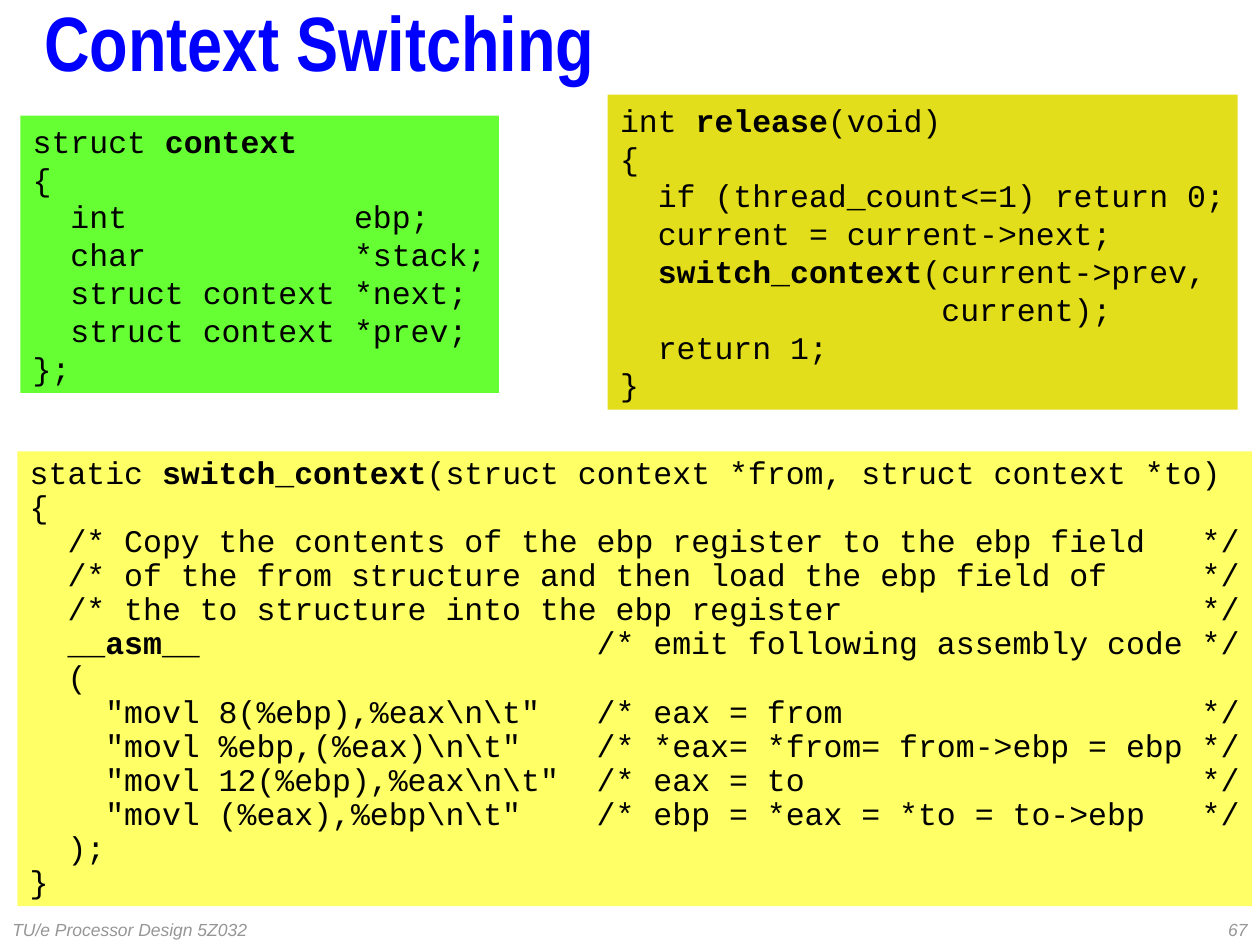
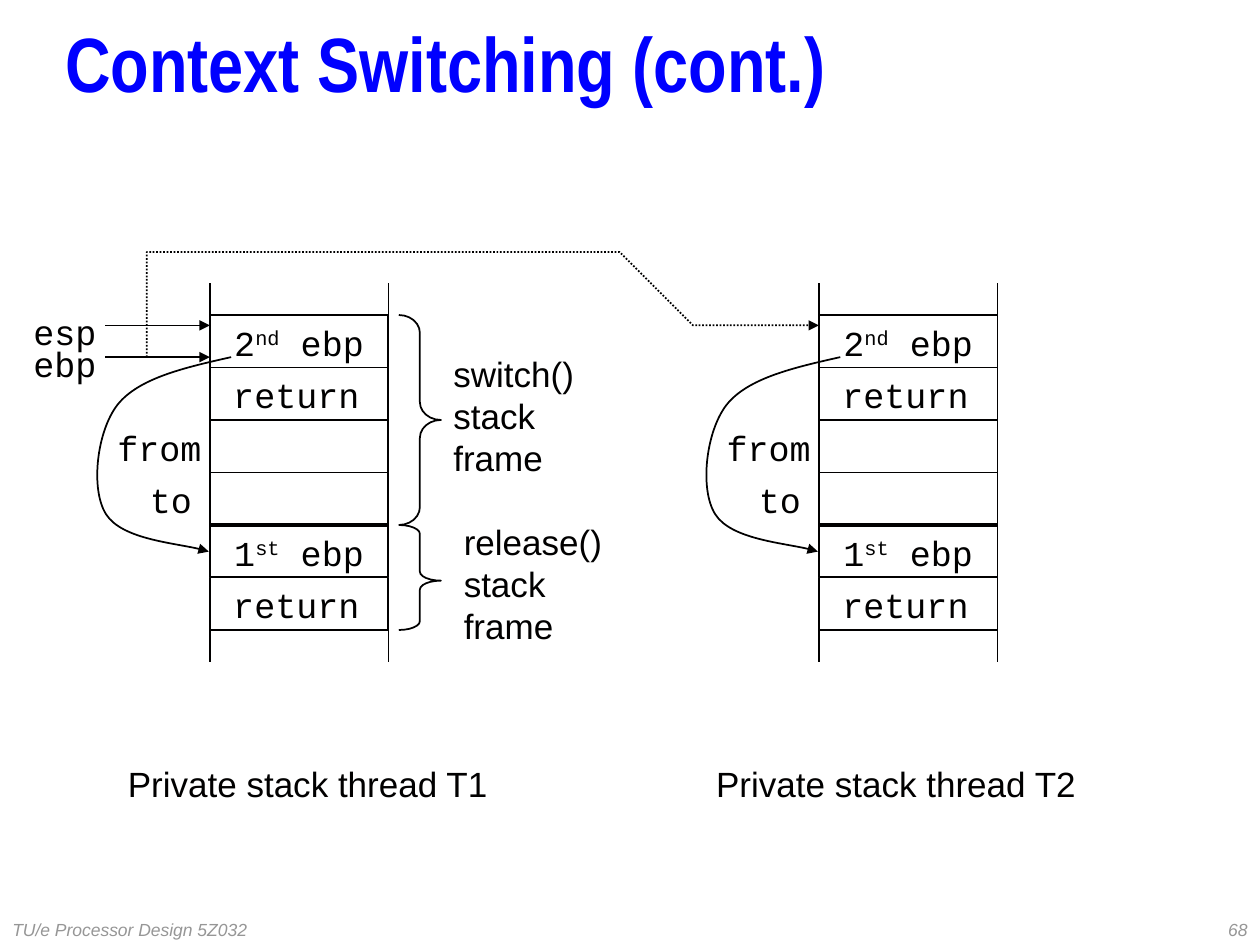
import lxml.etree
import pptx
import pptx.dml.color
import pptx.enum.dml
import pptx.enum.shapes
import pptx.enum.text
import pptx.oxml.ns
import pptx.util

Cm = pptx.util.Cm
Pt = pptx.util.Pt
qn = pptx.oxml.ns.qn
rgb = pptx.dml.color.RGBColor.from_string
ALIGN = pptx.enum.text.PP_ALIGN
ANCHOR = pptx.enum.text.MSO_ANCHOR
AUTO_SIZE = pptx.enum.text.MSO_AUTO_SIZE
SHAPE = pptx.enum.shapes.MSO_SHAPE
STRAIGHT = pptx.enum.shapes.MSO_CONNECTOR.STRAIGHT

INK = "010000"
TITLE_FONT = {"name": "Arial Narrow", "size": Pt(44), "bold": True}
FOOTER_FONT = {"name": "Arial", "size": Pt(10), "italic": True}
CODE_FONT = {"name": "Courier New", "size": Pt(18)}
CELL_FONT = {"name": "Courier New", "size": Pt(20)}
LABEL_FONT = {"name": "Arial", "size": Pt(20)}
FIXED_FRAME = {"word_wrap": True, "auto_size": AUTO_SIZE.NONE, "vertical_anchor": ANCHOR.MIDDLE}
GROWING_FRAME = {"word_wrap": False, "auto_size": AUTO_SIZE.SHAPE_TO_FIT_TEXT,
                 "vertical_anchor": ANCHOR.TOP}


def write(shape, text, font, color=INK, frame=GROWING_FRAME, align=ALIGN.LEFT,
          spacing=1.0, mark=("b", "1")):
    for name, value in frame.items():
        setattr(shape.text_frame, name, value)
    for index, line in enumerate(text.split("\n")):
        paragraphs = shape.text_frame.paragraphs
        paragraph = shape.text_frame.add_paragraph() if index else paragraphs[0]
        paragraph.alignment = align
        paragraph.line_spacing = spacing
        for position, part in enumerate(line.split("@")):
            if not part:
                continue
            run = paragraph.add_run()
            run.text = part
            for name, value in font.items():
                setattr(run.font, name, value)
            run.font.color.rgb = rgb(color)
            if position % 2:
                run._r.get_or_add_rPr().set(*mark)


def outline(shape, width=1, dash=None, arrow=False):
    shape.line.color.rgb = rgb(INK)
    shape.line.width = Pt(width)
    if dash:
        shape.line.dash_style = dash
    properties = shape._element.spPr
    if arrow:
        lxml.etree.SubElement(properties.find(qn("a:ln")), qn("a:tailEnd"), type="triangle")
    if properties.find(qn("a:effectLst")) is None:
        lxml.etree.SubElement(properties, qn("a:effectLst"))


presentation = pptx.Presentation()
presentation.slide_width = Cm(25.4)
presentation.slide_height = Cm(19.05)

slides = []
for title, left, top, number in [
    ("Context Switching", 0.64, 0, "67"),
    ("Context Switching (cont.)", 1.06, 0.42, "68"),
]:
    slide = presentation.slides.add_slide(presentation.slide_layouts[5])
    slides.append(slide)
    placeholder = slide.shapes.title
    for name, value in {"left": left, "top": top, "width": 23.28, "height": 2.12}.items():
        setattr(placeholder, name, Cm(value))
    write(placeholder, title, TITLE_FONT, "0000FF", FIXED_FRAME, spacing=0.7)
    for text, footer_left, align in [
        (number, 20.11, ALIGN.RIGHT),
        ("TU/e Processor Design 5Z032", 0, ALIGN.LEFT),
    ]:
        footer = slide.shapes.add_textbox(Cm(footer_left), Cm(18.42), Cm(5.29), Cm(0.63))
        write(footer, text, FOOTER_FONT, "969696", FIXED_FRAME, align)
code_slide, stack_slide = slides

switch_code = r'''static @switch_context@(struct context *from, struct context *to)
{
  /* Copy the contents of the ebp register to the ebp field   */
  /* of the from structure and then load the ebp field of     */
  /* the to structure into the ebp register                   */
  @__asm__@                     /* emit following assembly code */
  (
    "movl 8(%ebp),%eax\n\t"   /* eax = from                   */
    "movl %ebp,(%eax)\n\t"    /* *eax= *from= from->ebp = ebp */
    "movl 12(%ebp),%eax\n\t"  /* eax = to                     */
    "movl (%eax),%ebp\n\t"    /* ebp = *eax = *to = to->ebp   */
  );
}'''
release_code = '''int @release@(void)
{
  if (thread_count<=1) return 0;
  current = current->next;
  @switch_context@(current->prev,
                 current);
  return 1;
}'''
context_code = '''struct @context@
{
  int            ebp;
  char           *stack;
  struct context *next;
  struct context *prev;
};'''
for code, fill, spacing, place in [
    (switch_code, "FFFF66", 0.9, (0.35, 9.1, 24.89, 9.17)),
    (release_code, "E3DE1B", 1.0, (12.25, 1.91, 12.7, 6.35)),
    (context_code, "66FF33", 1.0, (0.41, 2.33, 9.65, 5.59)),
]:
    box = code_slide.shapes.add_textbox(*map(Cm, place))
    box.fill.solid()
    box.fill.fore_color.rgb = rgb(fill)
    write(box, code, CODE_FONT, spacing=spacing)

shapes = stack_slide.shapes
stack_left, stack_width = 4.23, 3.6
stack_top, stack_bottom, overhang = 6.35, 12.7, 0.64
row_height = (stack_bottom - stack_top) / 6
frame_border = stack_top + 4 * row_height
thread_gap = 12.28
label_height = 1.12
cell_labels = [
    ("2@nd@ ebp", 4.47, 3.12), ("return", 4.45, 3.05), ("from", 2.11, 2.21),
    ("to", 2.77, 1.35), ("1@st@ ebp", 4.47, 3.12), ("return", 4.45, 3.05),
]
saved_ebp_curve = [
    (4.66, 7.2), (3.73, 7.41), (2.8, 7.62), (2.37, 8.16), (1.95, 8.7),
    (1.82, 9.87), (2.14, 10.37), (2.46, 10.87), (3.78, 10.97), (4.21, 11.12),
]

for offset in (0, thread_gap):
    left = stack_left + offset
    right = left + stack_width
    for row, (text, label_left, width) in enumerate(cell_labels):
        top = stack_top + row * row_height
        cell = shapes.add_shape(SHAPE.RECTANGLE, Cm(left), Cm(top), Cm(stack_width), Cm(row_height))
        cell.fill.background()
        outline(cell)
        label = shapes.add_textbox(Cm(label_left + offset), Cm(top), Cm(width), Cm(label_height))
        write(label, text, CELL_FONT, align=ALIGN.CENTER, mark=("baseline", "30000"))
    for x in (left, right):
        for y in (stack_top - overhang, stack_bottom):
            outline(shapes.add_connector(STRAIGHT, Cm(x), Cm(y), Cm(x), Cm(y + overhang)))
    border = shapes.add_connector(STRAIGHT, Cm(left), Cm(frame_border), Cm(right), Cm(frame_border))
    outline(border, 2.25)

    points = [(Cm(x + offset), Cm(y)) for x, y in saved_ebp_curve]
    builder = shapes.build_freeform(*points[0])
    builder.add_line_segments(points[1:], close=False)
    curve = builder.convert_to_shape()
    curve.fill.background()
    outline(curve, arrow=True)
    curve_path = next(curve._element.iter(qn("a:path")))
    segments = curve_path.findall(qn("a:lnTo"))
    for start in range(0, len(segments), 3):
        bezier = lxml.etree.SubElement(curve_path, qn("a:cubicBezTo"))
        for segment in segments[start:start + 3]:
            bezier.append(segment[0])
            curve_path.remove(segment)

for register, label_top, arrow_y in [("esp", 6.14, 6.56), ("ebp", 6.77, 7.2)]:
    label = shapes.add_textbox(Cm(0.42), Cm(label_top), Cm(1.78), Cm(label_height))
    write(label, register, CELL_FONT, align=ALIGN.CENTER)
    arrow = shapes.add_connector(STRAIGHT, Cm(2.12), Cm(arrow_y), Cm(stack_left), Cm(arrow_y))
    outline(arrow, arrow=True)

for top, bottom, tip in [(stack_top, frame_border, 0.5), (frame_border, stack_bottom, 0.53)]:
    height = bottom - top
    brace = shapes.add_shape(SHAPE.RIGHT_BRACE, Cm(8.04), Cm(top), Cm(0.85), Cm(height))
    brace.adjustments[0] = height / 10
    brace.adjustments[1] = tip
    brace.fill.background()
    outline(brace)

for text, align, place in [
    ("switch()\nstack\nframe", ALIGN.LEFT, (8.89, 6.99, 2.95, 2.79)),
    ("release()\nstack\nframe", ALIGN.LEFT, (9.1, 10.37, 3.3, 2.79)),
    ("Private stack thread T1", ALIGN.CENTER, (2.32, 15.24, 7.77, label_height)),
    ("Private stack thread T2", ALIGN.CENTER, (14.18, 15.24, 7.77, label_height)),
]:
    write(shapes.add_textbox(*map(Cm, place)), text, LABEL_FONT, align=align)

switch_route = [(2.96, 7.2), (2.96, 5.08), (12.49, 5.08), (13.97, 6.56),
                (stack_left + thread_gap, 6.56)]
points = [(Cm(x), Cm(y)) for x, y in switch_route]
builder = shapes.build_freeform(*points[0])
builder.add_line_segments(points[1:], close=False)
route = builder.convert_to_shape()
route.fill.background()
outline(route, dash=pptx.enum.dml.MSO_LINE.ROUND_DOT, arrow=True)

presentation.save("out.pptx")
